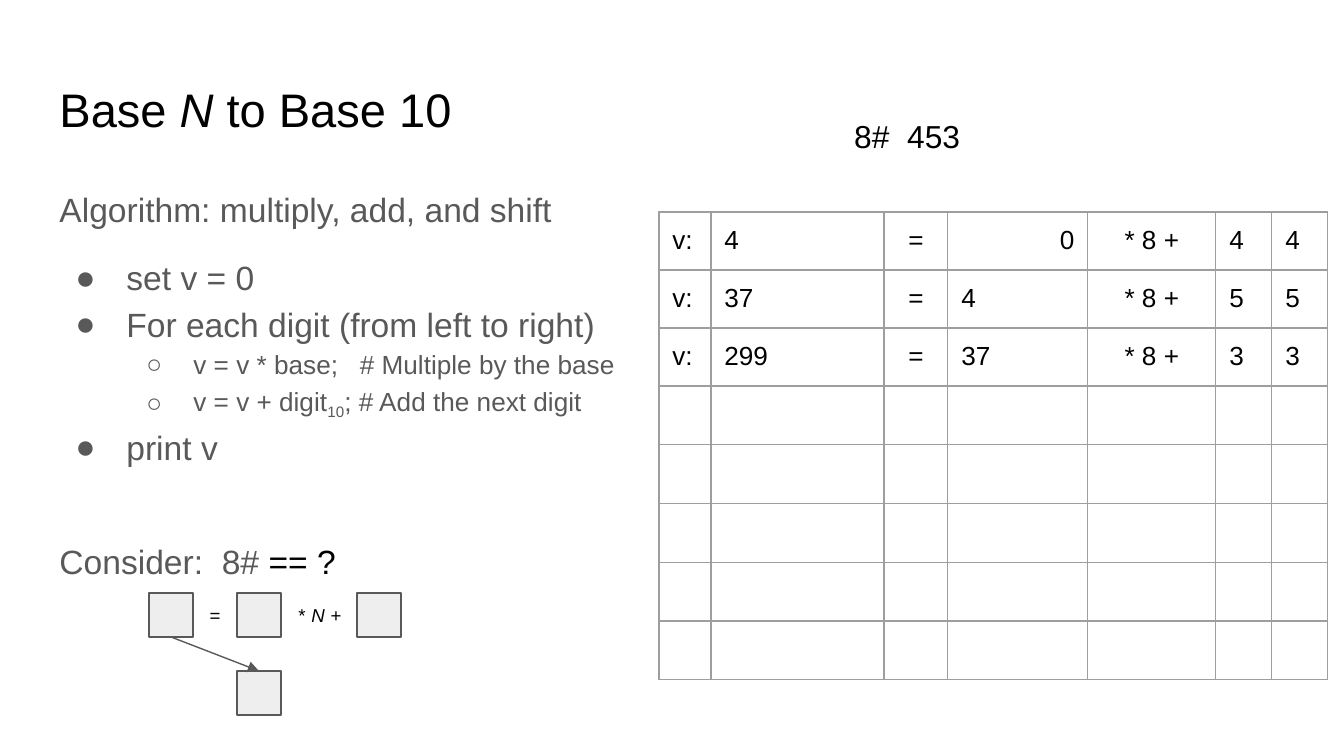
from lxml import etree
from pptx import Presentation, util as u
from pptx.dml.color import RGBColor
from pptx.enum import shapes, text
from pptx.oxml import ns

SCALE = 914400 / 134.4
COLORS = {"ink": "000000", "body": "595959", "grid": "9E9E9E", "box": "EEEEEE"}
FONT = "Arial"
ALIGN = text.PP_ALIGN
ANCHOR = text.MSO_ANCHOR
SIDES = ("left", "top", "right", "bottom")
TITLE = [("Base ", {}), ("N", {"italic": True}), (" to Base 10", {})]
BULLET = {"char": "●", "margin": 67, "indent": -51}
SUB_BULLET = {"char": "○", "margin": 134, "indent": -47}
BODY = [
    ([("Algorithm: multiply, add, and shift", {})], None, 18, 0),
    ([("set v = 0", {})], BULLET, 18, 12),
    ([("For each digit (from left to right)", {})], BULLET, 18, 0),
    ([("v = v * base;   # Multiple by the base", {})], SUB_BULLET, 14, 0),
    ([("v = v + digit", {}), ("10", {"baseline": -25000}),
      ("; # Add the next digit", {})], SUB_BULLET, 14, 0),
    ([("print v", {})], BULLET, 18, 0),
    ([("Consider:  8# ", {}), ("== ?", {"color": "ink"})], None, 18, 36),
]
COLUMNS = (52, 173, 64, 140, 128, 56, 56)
ROW_COUNT, ROW_HEIGHT = 8, 58
STEPS = [("4", "0", "4"), ("37", "4", "5"), ("299", "37", "3")]
SQUARE = 44


def px(length):
    """Turn pixels into EMU."""
    return u.Emu(round(length * SCALE))


def set_values(target, values):
    """Set each named attribute of the target."""
    for name, value in values.items():
        setattr(target, name, value)


def place(shape, left, top, width, height):
    """Move and size a shape in pixels."""
    values = zip(("left", "top", "width", "height"), (left, top, width, height))
    set_values(shape, {name: px(value) for name, value in values})


def style_font(font, size, color="ink", italic=False):
    """Apply the typeface, size and colour."""
    set_values(font, {"name": FONT, "size": u.Pt(size), "italic": italic})
    font.color.rgb = RGBColor.from_string(COLORS[color])


def add_spans(para, spans, size, color="ink"):
    """Add formatted runs to a paragraph."""
    for words, changes in spans:
        span = para.add_run()
        span.text = words
        style_font(span.font, size, changes.get("color", color),
                   changes.get("italic", False))
        if "baseline" in changes:
            span._r.get_or_add_rPr().set("baseline", str(changes["baseline"]))


def set_frame(frame, anchor=ANCHOR.TOP):
    """Give a text frame equal insets and fixed size."""
    set_values(frame, {f"margin_{side}": u.Inches(0.1) for side in SIDES})
    set_values(frame, {"word_wrap": True, "auto_size": text.MSO_AUTO_SIZE.NONE,
                       "vertical_anchor": anchor})


def set_bullet(para, bullet):
    """Set the bullet and hanging indent of a paragraph."""
    properties = para._p.get_or_add_pPr()
    style = bullet or {"margin": 0, "indent": 0}
    properties.set("marL", str(px(style["margin"])))
    properties.set("indent", str(px(style["indent"])))
    if not bullet:
        etree.SubElement(properties, ns.qn("a:buNone"))
        return
    color = etree.SubElement(properties, ns.qn("a:buClr"))
    etree.SubElement(color, ns.qn("a:srgbClr"), val=COLORS["body"])
    etree.SubElement(properties, ns.qn("a:buFont"), typeface=FONT)
    etree.SubElement(properties, ns.qn("a:buChar"), char=bullet["char"])


def fill_title(title):
    """Write the slide title."""
    place(title, 46, 66, 1253, 84)
    set_frame(title.text_frame, ANCHOR.BOTTOM)
    para = title.text_frame.paragraphs[0]
    para.alignment = ALIGN.LEFT
    add_spans(para, TITLE, 25.2)


def fill_body(body):
    """Write the algorithm as a list."""
    place(body, 46, 169, 1253, 503)
    frame = body.text_frame
    set_frame(frame)
    for index, (spans, bullet, size, before) in enumerate(BODY):
        para = frame.add_paragraph() if index else frame.paragraphs[0]
        set_values(para, {"level": int(bullet is SUB_BULLET), "line_spacing": 1.15,
                          "space_before": u.Pt(before), "space_after": u.Pt(0)})
        set_bullet(para, bullet)
        add_spans(para, spans, size, "body")


def add_label(parent, spans, bounds, size, anchor=ANCHOR.MIDDLE, **values):
    """Add a text box with one paragraph."""
    box = parent.add_textbox(*map(px, bounds))
    set_frame(box.text_frame, anchor)
    para = box.text_frame.paragraphs[0]
    set_values(para, {"alignment": ALIGN.CENTER, **values})
    add_spans(para, spans, size)


def format_cell(cell, words, alignment):
    """Write a cell and draw its borders."""
    set_values(cell, {f"margin_{side}": u.Inches(0.1) for side in SIDES})
    properties = cell._tc.get_or_add_tcPr()
    for side in "LRTB":
        line = etree.SubElement(properties, ns.qn(f"a:ln{side}"), w=str(u.Pt(0.75)))
        fill = etree.SubElement(line, ns.qn("a:solidFill"))
        etree.SubElement(fill, ns.qn("a:srgbClr"), val=COLORS["grid"])
    cell.fill.background()
    para = cell.text_frame.paragraphs[0]
    para.alignment = alignment
    if words:
        add_spans(para, [(words, {})], 14)
    else:
        etree.SubElement(para._p, ns.qn("a:endParaRPr"), sz="1400")


def add_steps_table(page):
    """Add the table of conversion steps."""
    bounds = (659, 212, sum(COLUMNS), ROW_COUNT * ROW_HEIGHT)
    table = page.shapes.add_table(ROW_COUNT, len(COLUMNS), *map(px, bounds)).table
    set_values(table, {"first_row": False, "horz_banding": False})
    for column, width in zip(table.columns, COLUMNS):
        column.width = px(width)
    for index, row in enumerate(table.rows):
        row.height = px(ROW_HEIGHT)
        words = [""] * len(COLUMNS)
        if index < len(STEPS):
            result, previous, digit = STEPS[index]
            words = ["v:", result, "=", previous, "* 8 +", digit, digit]
        for column, cell in enumerate(row.cells):
            alignment = ALIGN.CENTER if column in (2, 4) else ALIGN.LEFT
            if (index, column) == (0, 3):
                alignment = ALIGN.RIGHT
            format_cell(cell, words[column], alignment)


def style_line(line):
    """Apply the thin grey outline."""
    line.color.rgb = RGBColor.from_string(COLORS["body"])
    line.width = u.Pt(0.75)


def add_square(parent, left, top):
    """Add an empty value square."""
    square = parent.add_shape(shapes.MSO_SHAPE.RECTANGLE,
                              *map(px, (left, top, SQUARE, SQUARE)))
    square.shadow.inherit = False
    square.fill.solid()
    square.fill.fore_color.rgb = RGBColor.from_string(COLORS["box"])
    style_line(square.line)
    return square


def add_arrow(parent, start, end):
    """Join the bottom of one square to the top of another."""
    arrow = parent.add_connector(shapes.MSO_CONNECTOR.STRAIGHT, start.left,
                                 start.top, end.left, end.top)
    arrow.begin_connect(start, 2)
    arrow.end_connect(end, 0)
    style_line(arrow.line)
    etree.SubElement(arrow.line._get_or_add_ln(), ns.qn("a:tailEnd"), type="triangle")
    etree.SubElement(arrow._element.spPr, ns.qn("a:effectLst"))


def add_diagram(page):
    """Add the formula with its shift arrow."""
    parent = page.shapes.add_group_shape().shapes
    top = 593
    result, _, _ = [add_square(parent, left, top) for left in (149, 237, 357)]
    for words, left, width in (("=", 193, SQUARE), ("*", 280, SQUARE),
                               ("N", 293, 50), ("+", 314, SQUARE)):
        spans = [(words, {"italic": words == "N"})]
        add_label(parent, spans, (left, top, width, SQUARE), 10)
    shifted = add_square(parent, 237, 671)
    add_arrow(parent, result, shifted)


def main():
    """Build and save the slide."""
    deck = Presentation()
    set_values(deck, {"slide_width": px(1344), "slide_height": px(756)})
    page = deck.slides.add_slide(deck.slide_layouts[1])
    fill_title(page.shapes.title)
    fill_body(page.placeholders[1])
    add_label(page.shapes, [("8#  453", {})], (841, 98, 304, 94), 17, ANCHOR.TOP,
              alignment=ALIGN.LEFT, line_spacing=1.15, space_after=u.Pt(12))
    add_steps_table(page)
    add_diagram(page)
    deck.save("out.pptx")


if __name__ == "__main__":
    main()
